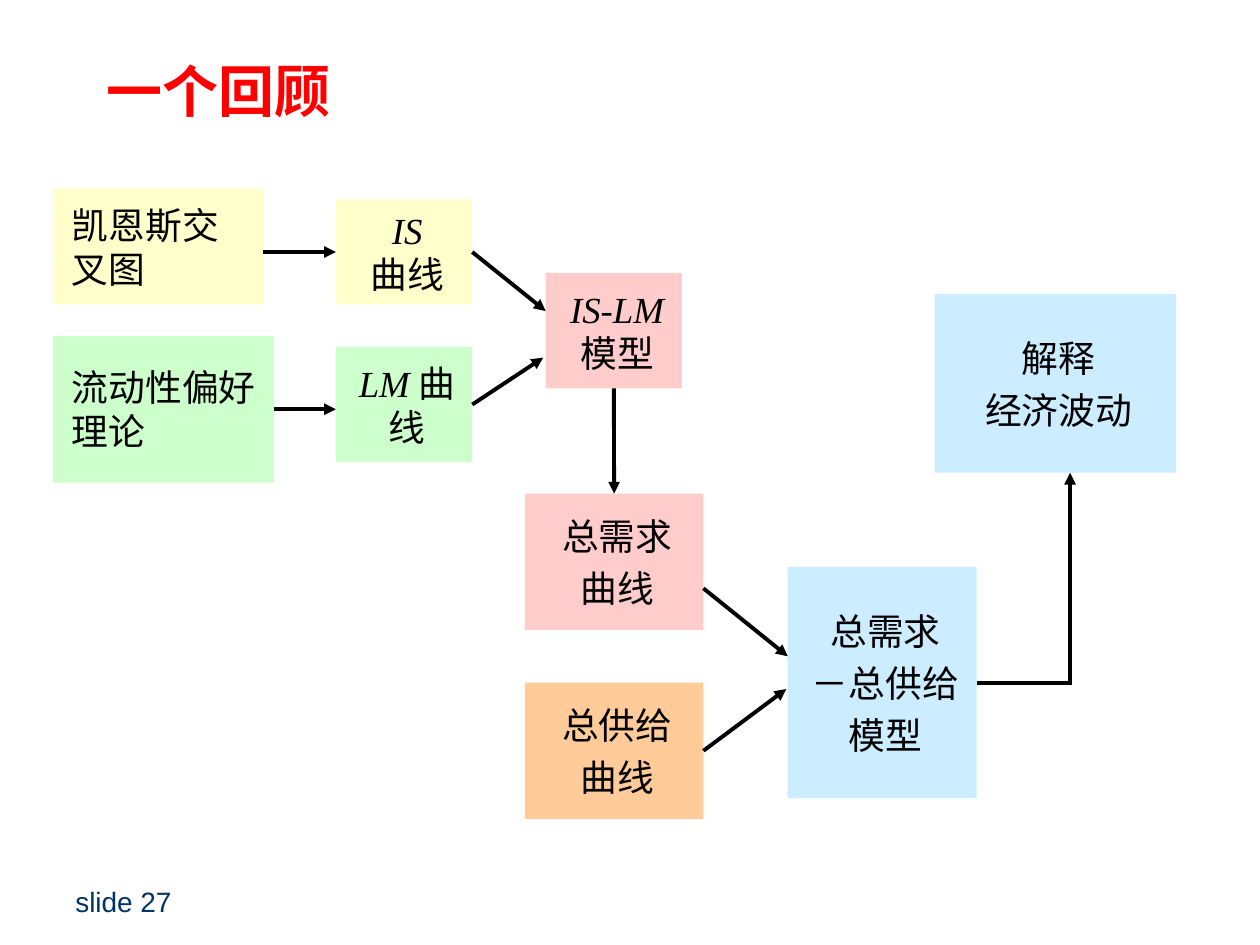
from dataclasses import dataclass
from lxml.etree import SubElement
from pptx import Presentation
from pptx.dml.color import RGBColor
from pptx.enum.shapes import MSO_CONNECTOR, MSO_SHAPE
from pptx.enum.text import MSO_ANCHOR, PP_ALIGN
from pptx.oxml.ns import qn
from pptx.util import Cm, Pt


@dataclass(frozen=True)
class Theme:
    """Colours, fonts and sizes of the slide."""
    title: str = "FF0000"
    footer: str = "003366"
    ink: str = "000000"
    yellow: str = "FFFFCC"
    green: str = "CCFFCC"
    pink: str = "FFCCCC"
    orange: str = "FFCC99"
    blue: str = "CCECFF"
    serif: str = "Times New Roman"
    sans: str = "Arial"
    chinese: str = "Noto Sans CJK SC"
    title_size: float = 32
    body_size: float = 21
    footer_size: float = 16
    line_width: float = 2.25
    paragraph_gap: float = 4.6


THEME = Theme()
TOP, LEFT, BOTTOM, RIGHT = range(4)


def style(paragraph, size, name, color, bold=False):
    """Set the Latin and East Asian type of a paragraph."""
    font = paragraph.font
    font.size, font.bold = Pt(size), bold
    font.color.rgb = RGBColor.from_string(color)
    font.name = name
    SubElement(font._rPr, qn("a:ea"), typeface=THEME.chinese)


def add_label(slide, box, text, size, name, color, bold=False):
    """Place one line of text, centred vertically in its box."""
    frame = slide.shapes.add_textbox(*map(Cm, box)).text_frame
    frame.word_wrap, frame.vertical_anchor = True, MSO_ANCHOR.MIDDLE
    frame.text = text
    style(frame.paragraphs[0], size, name, color, bold)


def add_concept(slide, box, fill, lines, term="", broken=False, align=PP_ALIGN.CENTER):
    """Place a filled rectangle with an optional italic term before its lines."""
    concept = slide.shapes.add_shape(MSO_SHAPE.RECTANGLE, *map(Cm, box))
    concept.shadow.inherit = False
    concept.fill.solid()
    concept.fill.fore_color.rgb = RGBColor.from_string(fill)
    concept.line.fill.background()
    frame = concept.text_frame
    frame.word_wrap, frame.vertical_anchor = True, MSO_ANCHOR.MIDDLE
    frame.margin_left, frame.margin_right = Cm(0.38), Cm(0.25)
    frame.margin_top = frame.margin_bottom = Cm(0.13)
    for index, line in enumerate(lines):
        paragraph = frame.add_paragraph() if index else frame.paragraphs[0]
        paragraph.alignment = align
        if index:
            paragraph.space_before = Pt(THEME.paragraph_gap)
        elif term:
            lead = paragraph.add_run()
            lead.text, lead.font.italic = term, True
            if broken:
                paragraph.add_line_break()
        paragraph.add_run().text = line
        style(paragraph, THEME.body_size, THEME.serif, THEME.ink)
    return concept


def add_link(slide, origin, start, end, arrow=True):
    """Draw a line between ends that are points or (concept, side) pairs."""
    def place(point):
        return [Cm(o + p) for o, p in zip(origin, point)]

    joined = [not isinstance(tip[0], (int, float)) for tip in (start, end)]
    tips = [(0, 0) if join else place(tip) for join, tip in zip(joined, (start, end))]
    link = slide.shapes.add_connector(MSO_CONNECTOR.STRAIGHT, *tips[0], *tips[1])
    if joined[0]:
        link.begin_connect(*start)
    if joined[1]:
        link.end_connect(*end)
    link.line.color.rgb = RGBColor.from_string(THEME.ink)
    link.line.width = Pt(THEME.line_width)
    if arrow:
        SubElement(link.line._get_or_add_ln(), qn("a:tailEnd"), type="triangle")
    SubElement(link._element.spPr, qn("a:effectLst"))


def add_review_map(slide, left, top):
    """Draw the map of models from the two theories to economic fluctuations."""
    def concept(x, y, width, height, *content, **options):
        return add_concept(slide, (left + x, top + y, width, height), *content, **options)

    keynes = concept(0, 0, 4.23, 2.33, THEME.yellow, ["凯恩斯交叉图"], align=PP_ALIGN.LEFT)
    liquidity = concept(0, 2.96, 4.45, 2.96, THEME.green, ["流动性偏好理论"],
                        align=PP_ALIGN.LEFT)
    is_curve = concept(5.7, 0.21, 2.75, 2.12, THEME.yellow, ["曲线"], term="IS", broken=True)
    lm_curve = concept(5.7, 3.18, 2.75, 2.33, THEME.green, ["曲线"], term="LM ")
    is_lm = concept(9.93, 1.69, 2.75, 2.33, THEME.pink, ["模型"], term="IS-LM", broken=True)
    demand = concept(9.51, 6.14, 3.6, 2.75, THEME.pink, ["总需求", "曲线"])
    supply = concept(9.51, 9.95, 3.6, 2.75, THEME.orange, ["总供给", "曲线"])
    model = concept(14.81, 7.62, 3.81, 4.66, THEME.blue, ["总需求", "－总供给", "模型"])
    concept(17.77, 2.12, 4.87, 3.6, THEME.blue, ["解释", "经济波动"])

    links = [
        ((4.23, 1.27), (is_curve, LEFT)),
        ((liquidity, RIGHT), (5.7, 4.44)),
        ((is_curve, RIGHT), (9.93, 2.46)),
        ((lm_curve, RIGHT), (9.88, 3.4)),
        ((is_lm, BOTTOM), (demand, TOP)),
        ((13.11, 8.05), (14.81, 9.42)),
        ((supply, RIGHT), (14.78, 10.08)),
        ((20.5, 10), (20.5, 5.72)),
    ]
    for start, end in links:
        add_link(slide, (left, top), start, end)
    add_link(slide, (left, top), (model, RIGHT), (20.54, 9.95), arrow=False)


def main():
    """Build and save the slide."""
    deck = Presentation()
    deck.slide_width, deck.slide_height = Cm(25.4), Cm(19.05)
    slide = deck.slides.add_slide(deck.slide_layouts[6])
    add_label(slide, (1.9, 0.64, 21.39, 2.34), "一个回顾",
              THEME.title_size, THEME.chinese, THEME.title, bold=True)
    add_review_map(slide, 1.07, 3.81)
    add_label(slide, (1.27, 17.65, 5.92, 1.02), "slide 27",
              THEME.footer_size, THEME.sans, THEME.footer)
    deck.save("out.pptx")


if __name__ == "__main__":
    main()
